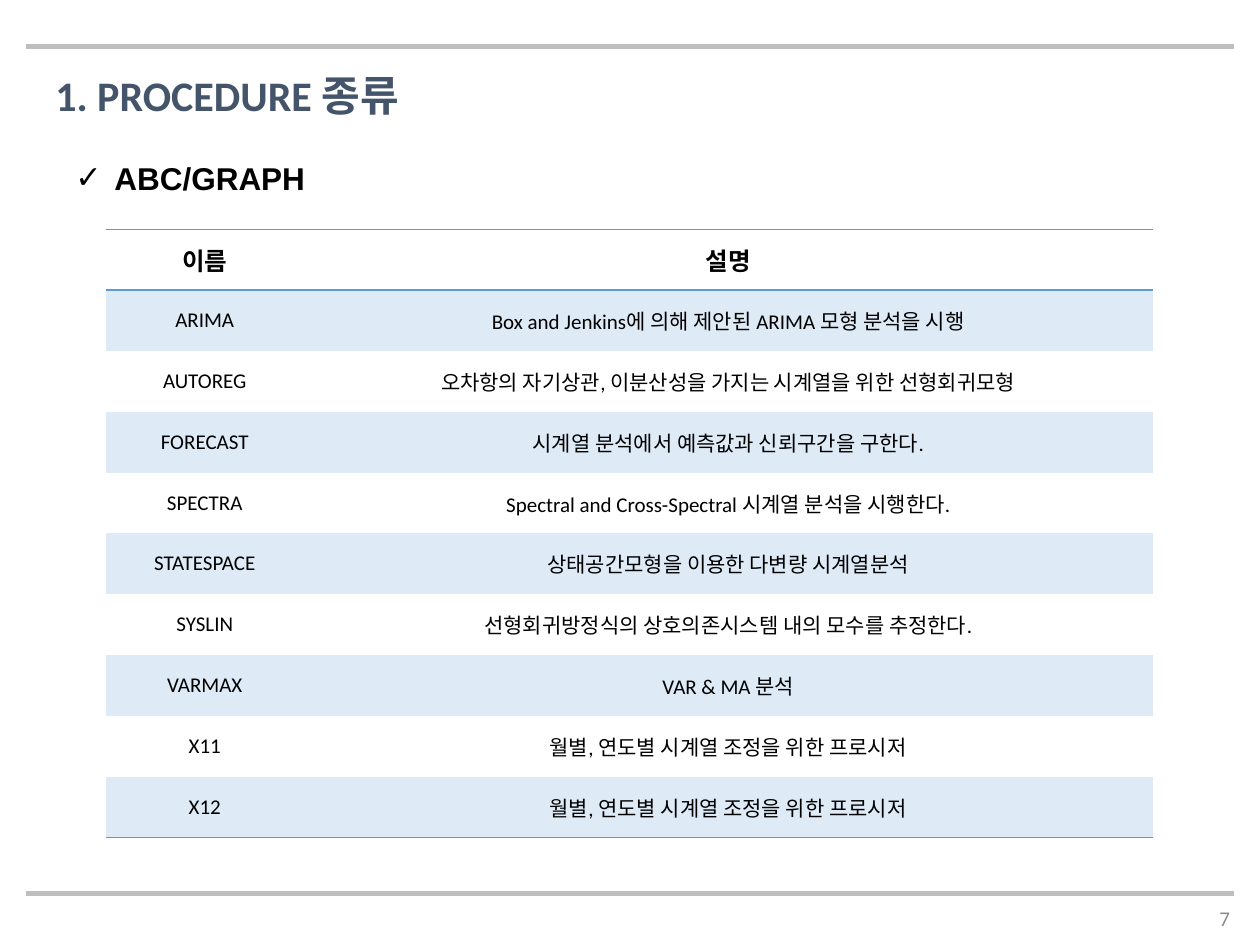
from lxml import etree
from pptx import Presentation
from pptx.dml.color import RGBColor
from pptx.enum.shapes import MSO_CONNECTOR
from pptx.enum.text import MSO_ANCHOR, PP_ALIGN
from pptx.oxml.ns import qn
from pptx.util import Inches, Pt

LEFT, CENTER, RIGHT = PP_ALIGN.LEFT, PP_ALIGN.CENTER, PP_ALIGN.RIGHT
TOP, MIDDLE = MSO_ANCHOR.TOP, MSO_ANCHOR.MIDDLE
STRAIGHT = MSO_CONNECTOR.STRAIGHT

BLACK = RGBColor(0x00, 0x00, 0x00)
NAVY = RGBColor(0x44, 0x54, 0x6A)
BLUE = RGBColor(0x5B, 0x9B, 0xD5)
PALE_BLUE = RGBColor(0xDE, 0xEB, 0xF7)
RULE_GRAY = RGBColor(0xBF, 0xBF, 0xBF)
NUMBER_GRAY = RGBColor(0x8C, 0x8C, 0x8C)
NO_STYLE = "{2D5ABB26-0587-4C30-8999-92F81FD0307C}"

TITLE = "1. PROCEDURE 종류"
SUBTITLE = "ABC/GRAPH"
PAGE_NUMBER = "7"
ROWS = [
    ("이름", "설명"),
    ("ARIMA", "Box and Jenkins에 의해 제안된 ARIMA 모형 분석을 시행"),
    ("AUTOREG", "오차항의 자기상관, 이분산성을 가지는 시계열을 위한 선형회귀모형"),
    ("FORECAST", "시계열 분석에서 예측값과 신뢰구간을 구한다."),
    ("SPECTRA", "Spectral and Cross-Spectral 시계열 분석을 시행한다."),
    ("STATESPACE", "상태공간모형을 이용한 다변량 시계열분석"),
    ("SYSLIN", "선형회귀방정식의 상호의존시스템 내의 모수를 추정한다."),
    ("VARMAX", "VAR & MA 분석"),
    ("X11", "월별, 연도별 시계열 조정을 위한 프로시저"),
    ("X12", "월별, 연도별 시계열 조정을 위한 프로시저"),
]
COLUMN_WIDTHS = (1.57, 6.74)
TABLE_LEFT, TABLE_TOP, TABLE_HEIGHT = 0.84, 1.82, 4.83
SLIDE_WIDTH, SLIDE_HEIGHT = 10, 7.5
RULE_MARGIN = 0.21
RULE_TOPS = (0.37, 7.09)


def write(text_frame, text, size, color, bold=False, font="Calibri", align=LEFT):
    text_frame.text = text
    paragraph = text_frame.paragraphs[0]
    paragraph.alignment = align
    run_font = paragraph.runs[0].font
    run_font.name, run_font.size, run_font.bold = font, Pt(size), bold
    run_font.color.rgb = color
    return paragraph


def add_text(slide, box, text, size, color, anchor=TOP, **style):
    text_frame = slide.shapes.add_textbox(*map(Inches, box)).text_frame
    text_frame.word_wrap = True
    text_frame.vertical_anchor = anchor
    return write(text_frame, text, size, color, **style)


def add_check_bullet(paragraph, indent):
    properties = paragraph._p.get_or_add_pPr()
    properties.set("marL", str(Inches(indent)))
    properties.set("indent", str(-Inches(indent)))
    etree.SubElement(properties, qn("a:buFont"), typeface="Arial")
    etree.SubElement(properties, qn("a:buChar"), char="✓")


def add_rule(slide, top):
    ends = (RULE_MARGIN, top, SLIDE_WIDTH - RULE_MARGIN, top)
    rule = slide.shapes.add_connector(STRAIGHT, *map(Inches, ends))
    rule.line.color.rgb = RULE_GRAY
    rule.line.width = Pt(3)
    etree.SubElement(rule._element.spPr, qn("a:effectLst"))


def set_borders(cell, sides):
    properties = cell._tc.get_or_add_tcPr()
    for position, side in enumerate(sides):
        line = etree.Element(qn("a:ln" + side), w=str(Pt(1)))
        fill = etree.SubElement(line, qn("a:solidFill"))
        etree.SubElement(fill, qn("a:srgbClr"), val=str(BLUE))
        properties.insert(position, line)


def add_procedure_table(slide):
    box = (TABLE_LEFT, TABLE_TOP, sum(COLUMN_WIDTHS), TABLE_HEIGHT)
    frame = slide.shapes.add_table(len(ROWS), len(COLUMN_WIDTHS), *map(Inches, box))
    table = frame.table
    table._tbl.tblPr.find(qn("a:tableStyleId")).text = NO_STYLE
    for column, width in zip(table.columns, COLUMN_WIDTHS):
        column.width = Inches(width)
    borders = {0: "TB", len(ROWS) - 1: "B"}
    for row_index, texts in enumerate(ROWS):
        header = row_index == 0
        for column_index, text in enumerate(texts):
            cell = table.cell(row_index, column_index)
            cell.vertical_anchor = MIDDLE
            write(cell.text_frame, text, 14 if header else 12, BLACK,
                  bold=header, align=CENTER)
            if row_index % 2:
                cell.fill.solid()
                cell.fill.fore_color.rgb = PALE_BLUE
            else:
                cell.fill.background()
            set_borders(cell, borders.get(row_index, ""))


def main():
    presentation = Presentation()
    presentation.slide_width = Inches(SLIDE_WIDTH)
    presentation.slide_height = Inches(SLIDE_HEIGHT)
    slide = presentation.slides.add_slide(presentation.slide_layouts[6])
    add_text(slide, (9.41, 7.09, 0.45, 0.4), PAGE_NUMBER, 12, NUMBER_GRAY,
             anchor=MIDDLE, align=RIGHT)
    for top in RULE_TOPS:
        add_rule(slide, top)
    add_text(slide, (0.34, 0.5, 6.11, 0.5), TITLE, 24, NAVY, bold=True)
    subtitle = add_text(slide, (0.5, 1.06, 3.53, 0.5), SUBTITLE, 18, BLACK,
                        bold=True, font="Arial")
    subtitle.line_spacing = 1.5
    add_check_bullet(subtitle, 0.31)
    add_procedure_table(slide)
    presentation.save("out.pptx")


if __name__ == "__main__":
    main()
